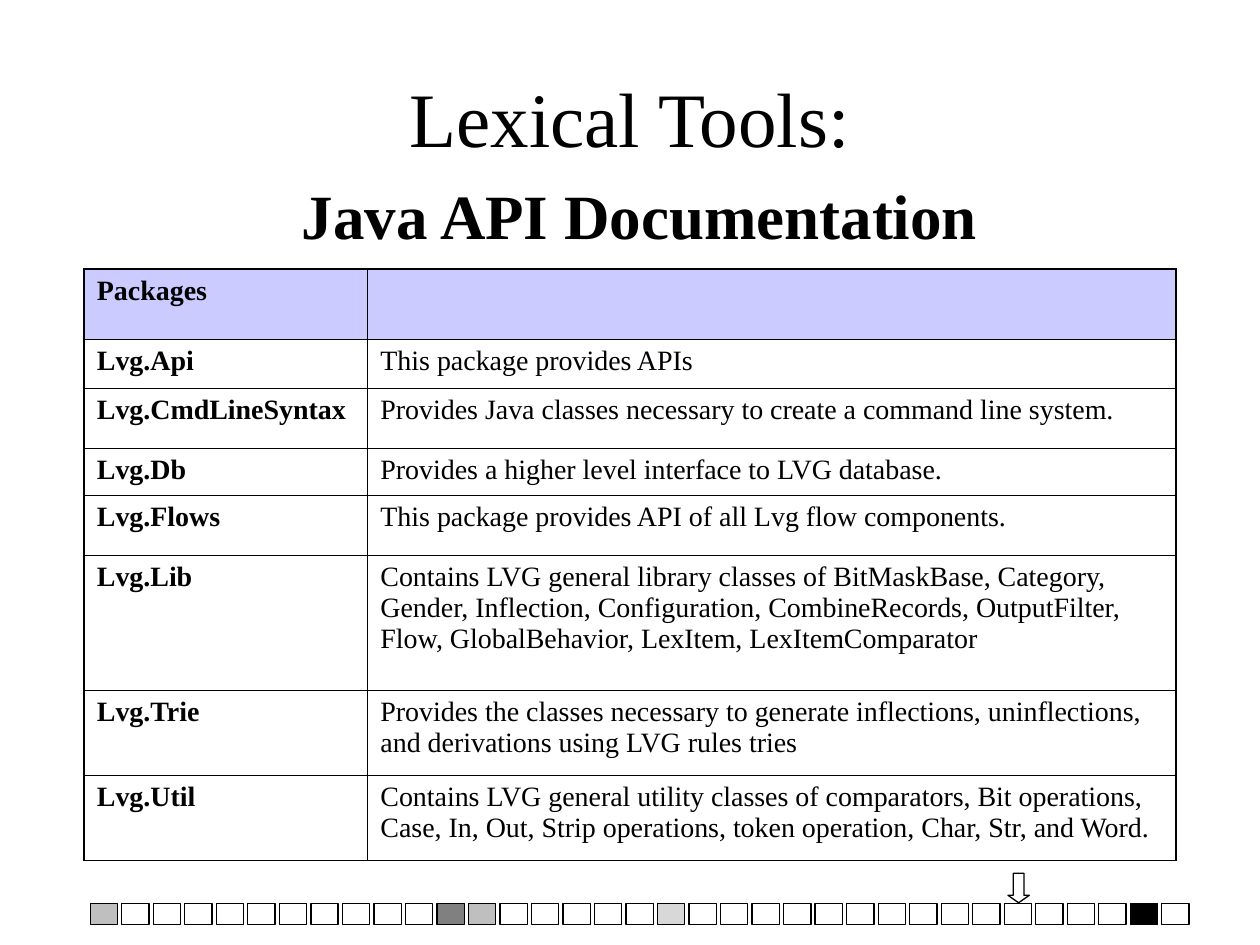
from lxml import etree
from pptx import Presentation
from pptx.dml.color import RGBColor
from pptx.enum import shapes, text
from pptx.oxml import ns
from pptx.util import Pt

COLORS = {"black": "000000", "gray": "808080", "silver": "B2B2B2", "lavender": "9999FF"}
FONT = "Times New Roman"

TITLE = ("Lexical Tools:", "Java API Documentation")
# package, description, row height
PACKAGES = [
    ("Packages", "", 40),
    ("Lvg.Api", "This package provides APIs", 28),
    ("Lvg.CmdLineSyntax",
     "Provides Java classes necessary to create a command line system.", 34.3),
    ("Lvg.Db", "Provides a higher level interface to LVG database.", 26.8),
    ("Lvg.Flows", "This package provides API of all Lvg flow components.", 34.3),
    ("Lvg.Lib",
     "Contains LVG general library classes of BitMaskBase, Category, Gender, Inflection, "
     "Configuration, CombineRecords, OutputFilter, Flow, GlobalBehavior, LexItem, "
     "LexItemComparator", 77.3),
    ("Lvg.Trie",
     "Provides the classes necessary to generate inflections, uninflections, and "
     "derivations using LVG rules tries", 48.6),
    ("Lvg.Util",
     "Contains LVG general utility classes of comparators, Bit operations, Case, In, Out, "
     "Strip operations, token operation, Char, Str, and Word.", 48.6),
]
COLUMN_WIDTHS = (162, 462)
TABLE_LEFT, TABLE_TOP = 48.2, 153.9
THIN, THICK = 0.45, 1.08

STEP_COUNT = 35
STEP_LEFT, STEP_TOP, STEP_PITCH = 51.6, 516.2, 18.01
STEP_SIZE = (15.6, 12.2)
# step index: colour, opacity in percent
STEP_FILLS = {0: ("gray", 50), 11: ("gray", 100), 12: ("gray", 50),
              18: ("silver", 50), 33: ("black", 100)}


def rgb(name):
    return RGBColor.from_string(COLORS[name])


def add_text(paragraph, content, size=16, bold=False):
    run = paragraph.add_run()
    run.text = content
    run.font.name = FONT
    run.font.size = Pt(size)
    run.font.bold = bold
    run.font.color.rgb = rgb("black")


def set_fill(fill, properties, color, opacity):
    """Fill a shape or cell whose XML properties element is given."""
    fill.solid()
    fill.fore_color.rgb = rgb(color)
    if opacity < 100:
        value = properties.find(ns.qn("a:solidFill")).find(ns.qn("a:srgbClr"))
        etree.SubElement(value, ns.qn("a:alpha"), val=str(opacity * 1000))


def set_borders(properties, widths):
    """Put left, right, top and bottom lines ahead of the cell's fill."""
    for index, (side, width) in enumerate(zip("LRTB", widths)):
        line = etree.Element(ns.qn(f"a:ln{side}"), w=str(int(Pt(width))))
        solid = etree.SubElement(line, ns.qn("a:solidFill"))
        etree.SubElement(solid, ns.qn("a:srgbClr"), val=COLORS["black"])
        properties.insert(index, line)


def add_outlined(slide, kind, left, top, width, height):
    shape = slide.shapes.add_shape(kind, Pt(left), Pt(top), Pt(width), Pt(height))
    shape.shadow.inherit = False
    shape.fill.background()
    shape.line.color.rgb = rgb("black")
    shape.line.width = Pt(0.75)
    return shape


def add_steps(slide):
    for index in range(STEP_COUNT):
        step = add_outlined(slide, shapes.MSO_SHAPE.RECTANGLE,
                            STEP_LEFT + index * STEP_PITCH, STEP_TOP, *STEP_SIZE)
        if index in STEP_FILLS:
            set_fill(step.fill, step._element.spPr, *STEP_FILLS[index])


def add_title(slide):
    frame = slide.shapes.add_textbox(Pt(54), Pt(48), Pt(612), Pt(90)).text_frame
    frame.word_wrap = True
    frame.vertical_anchor = text.MSO_ANCHOR.MIDDLE
    paragraph = frame.paragraphs[0]
    paragraph.alignment = text.PP_ALIGN.CENTER
    heading, subheading = TITLE
    add_text(paragraph, heading, size=44)
    paragraph.add_line_break()
    add_text(paragraph, " ", size=44)
    add_text(paragraph, subheading, size=36, bold=True)


def add_package_table(slide):
    heights = [height for *_, height in PACKAGES]
    table = slide.shapes.add_table(
        len(PACKAGES), len(COLUMN_WIDTHS), Pt(TABLE_LEFT), Pt(TABLE_TOP),
        Pt(sum(COLUMN_WIDTHS)), Pt(sum(heights))).table
    table.first_row = table.horz_banding = False
    for column, width in zip(table.columns, COLUMN_WIDTHS):
        column.width = Pt(width)
    last_row, last_column = len(PACKAGES) - 1, len(COLUMN_WIDTHS) - 1
    for r, (*contents, height) in enumerate(PACKAGES):
        table.rows[r].height = Pt(height)
        for c, content in enumerate(contents):
            cell = table.cell(r, c)
            if content:
                add_text(cell.text_frame.paragraphs[0], content, bold=c == 0)
            properties = cell._tc.get_or_add_tcPr()
            if r == 0:
                set_fill(cell.fill, properties, "lavender", 50)
            else:
                cell.fill.background()
            on_edge = (c == 0, c == last_column, r == 0, r == last_row)
            set_borders(properties, [THICK if edge else THIN for edge in on_edge])


def main():
    presentation = Presentation()
    presentation.slide_width, presentation.slide_height = Pt(720), Pt(540)
    slide = presentation.slides.add_slide(presentation.slide_layouts[6])
    add_steps(slide)
    add_title(slide)
    add_package_table(slide)
    arrow = add_outlined(slide, shapes.MSO_SHAPE.DOWN_ARROW, 576, 499, 12.2, 16.9)
    arrow.adjustments[0], arrow.adjustments[1] = 0.5, 0.35
    presentation.save("out.pptx")


if __name__ == "__main__":
    main()
